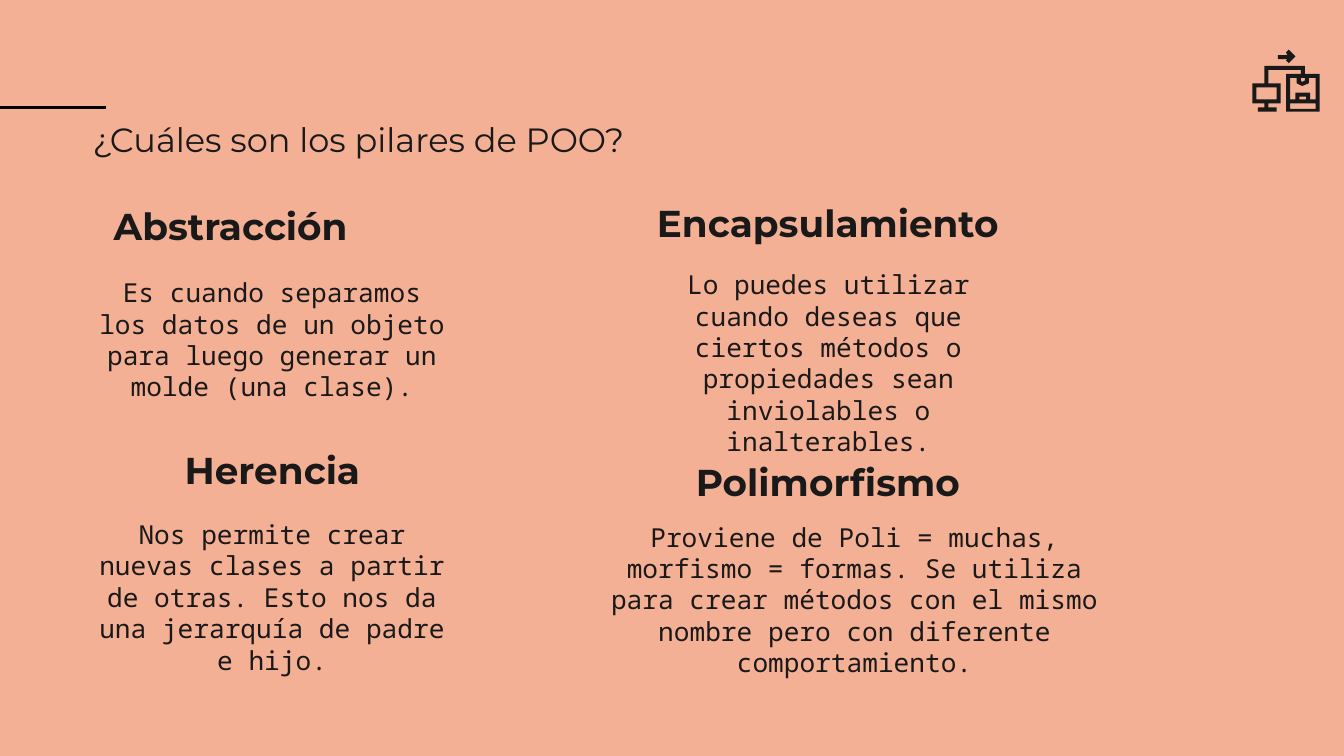
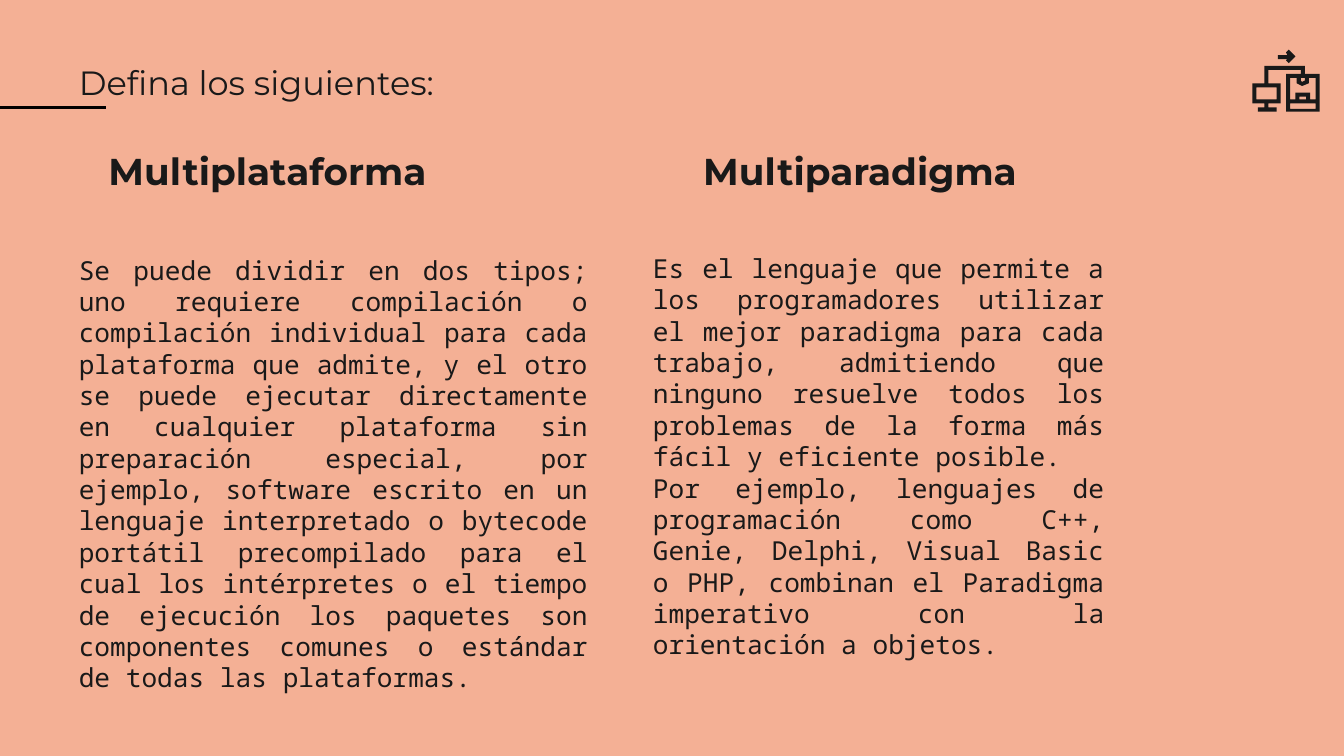
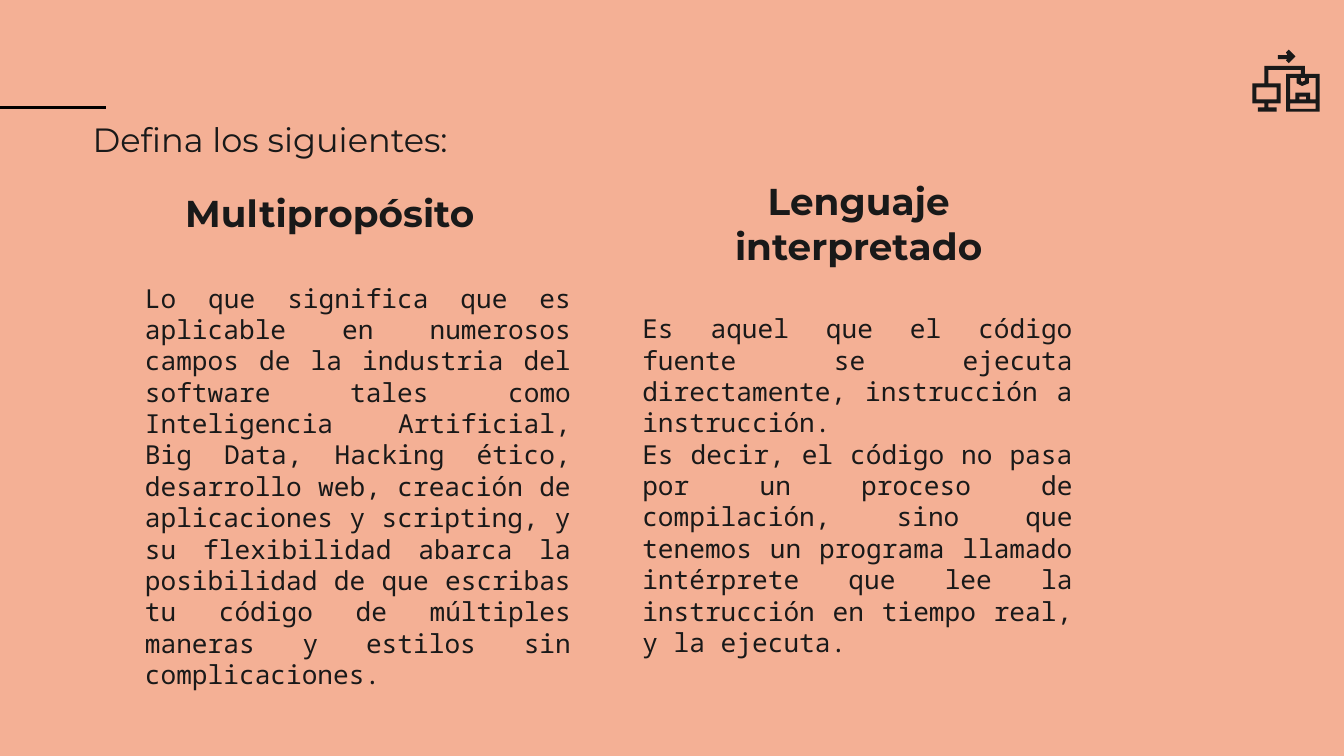
from lxml.etree import SubElement
from pptx import Presentation
from pptx.dml.color import RGBColor
from pptx.enum.shapes import MSO_CONNECTOR
from pptx.enum.text import MSO_ANCHOR as Anchor, MSO_AUTO_SIZE as AutoSize, PP_ALIGN as Align
from pptx.oxml.ns import qn
from pptx.util import Cm, Pt

SALMON = RGBColor(0xF4, 0xB0, 0x95)
INK = RGBColor(0x19, 0x19, 0x19)
BLACK = RGBColor(0, 0, 0)
HEADING_FONT = "Montserrat"
BODY_FONT = "Noto Sans Mono"

TITLE_SIZE = (19.18, 1.3)
HEADING_HEIGHT = 1.47
INSET = Cm(0.25)

# Each topic: heading, its (left, top, width) and alignment, then
# the body paragraphs, their (left, top, width, height) and alignment; all in cm.
SLIDES = [
    {
        "title": "¿Cuáles son los pilares de POO?",
        "title_at": (1.5, 1.98),
        "topics": [
            ("Abstracción", (1.9, 3.53, 6.5), Align.LEFT,
             ["Es cuando separamos los datos de un objeto para luego generar un "
              "molde (una clase)."],
             (1.5, 4.98, 7.29, 3.38), Align.CENTER),
            ("Encapsulamiento", (11.48, 3.48, 8.33), Align.CENTER,
             ["Lo puedes utilizar cuando deseas que ciertos métodos o propiedades "
              "sean inviolables o inalterables."],
             (11.71, 4.83, 7.9, 2.9), Align.CENTER),
            ("Herencia", (1.9, 8.15, 6.5), Align.CENTER,
             ["Nos permite crear nuevas clases a partir de otras. Esto nos da una "
              "jerarquía de padre e hijo."],
             (1.5, 9.55, 7.29, 3.94), Align.CENTER),
            ("Polimorfismo", (12.4, 8.36, 6.5), Align.CENTER,
             ["Proviene de Poli = muchas, morfismo = formas. Se utiliza para crear "
              "métodos con el mismo nombre pero con diferente comportamiento."],
             (11.1, 9.6, 10.11, 2.9), Align.CENTER),
        ],
    },
    {
        "title": "Defina los siguientes:",
        "title_at": (1.24, 0.91),
        "topics": [
            ("Multiplataforma", (1.8, 2.49, 8.33), Align.LEFT,
             ["Se puede dividir en dos tipos; uno requiere compilación o compilación "
              "individual para cada plataforma que admite, y el otro se puede ejecutar "
              "directamente en cualquier plataforma sin preparación especial, por "
              "ejemplo, software escrito en un lenguaje interpretado o bytecode "
              "portátil precompilado para el cual los intérpretes o el tiempo de "
              "ejecución los paquetes son componentes comunes o estándar de todas "
              "las plataformas."],
             (1.24, 4.55, 10.13, 9.42), Align.JUSTIFY),
            ("Multiparadigma", (12.09, 2.49, 8.33), Align.CENTER,
             ["Es el lenguaje que permite a los programadores utilizar el mejor "
              "paradigma para cada trabajo, admitiendo que ninguno resuelve todos los "
              "problemas de la forma más fácil y eficiente posible.",
              "Por ejemplo, lenguajes de programación como C++, Genie, Delphi, Visual "
              "Basic o PHP, combinan el Paradigma imperativo con la orientación a "
              "objetos."],
             (12.09, 4.52, 9.04, 3.38), Align.JUSTIFY),
        ],
    },
    {
        "title": "Defina los siguientes:",
        "title_at": (1.5, 1.98),
        "topics": [
            ("Multipropósito", (2.49, 3.28, 7.49), Align.CENTER,
             ["Lo que significa que es aplicable en numerosos campos de la industria "
              "del software tales como Inteligencia Artificial, Big Data, Hacking "
              "ético, desarrollo web, creación de aplicaciones y scripting, y su "
              "flexibilidad abarca la posibilidad de que escribas tu código de "
              "múltiples maneras y estilos sin complicaciones."],
             (2.49, 5.08, 8.56, 7.82), Align.JUSTIFY),
            ("Lenguaje interpretado", (12.98, 3.48, 6.5), Align.CENTER,
             ["Es aquel que el código fuente se ejecuta directamente, instrucción a "
              "instrucción.",
              "Es decir, el código no pasa por un proceso de compilación, sino que "
              "tenemos un programa llamado intérprete que lee la instrucción en tiempo "
              "real, y la ejecuta."],
             (11.89, 5.66, 8.64, 7.19), Align.JUSTIFY),
        ],
    },
]

# Icon outlines on a grid of 100 units to 2.54 cm
ICON_UNIT = Cm(2.54) / 100
ICON_LEFT, ICON_TOP = Cm(23.67), Cm(0.94)
COMPUTERS = [
    [(9, 12), (9, 25), (0, 25), (0, 40), (9, 40), (9, 43), (4, 43), (4, 46),
     (18, 46), (18, 43), (12, 43), (12, 40), (21, 40), (21, 25), (12, 25), (12, 15),
     (36, 15), (36, 18), (25, 18), (25, 46), (50, 46), (50, 18), (39, 18), (39, 12)],
    [(39, 21), (39, 23), (37, 24), (36, 23), (36, 21)],
    [(18, 28), (18, 37), (3, 37), (3, 28)],
    [(40, 35), (40, 37), (35, 37), (35, 35)],
    [(47, 21), (47, 37), (43, 37), (43, 32), (32, 32), (32, 37), (28, 37), (28, 21),
     (33, 21), (33, 25), (37, 27), (42, 25), (42, 21)],
    [(47, 40), (47, 44), (28, 44), (28, 40)],
]
ARROW = [[(27, 0), (25, 2), (26, 4), (19, 4), (19, 7), (26, 7), (25, 8), (27, 10), (32, 5)]]


def place(shape, left, top, width, height):
    shape.left, shape.top = Cm(left), Cm(top)
    shape.width, shape.height = Cm(width), Cm(height)


def write(shape, paragraphs, font_name, size, align, anchor=Anchor.MIDDLE, bold=False):
    frame = shape.text_frame
    frame.word_wrap = True
    frame.auto_size = AutoSize.NONE
    frame.vertical_anchor = anchor
    frame.margin_left = frame.margin_right = INSET
    frame.margin_top = frame.margin_bottom = INSET
    frame.text = "\n".join(paragraphs)
    for para in frame.paragraphs:
        para.alignment = align
        para.font.name = font_name
        para.font.size = Pt(size)
        para.font.bold = bold
        para.font.color.rgb = INK


def add_text(slide, bounds, *args, **kwargs):
    box = slide.shapes.add_textbox(0, 0, 0, 0)
    place(box, *bounds)
    write(box, *args, **kwargs)


def add_topic(slide, heading, heading_at, heading_align, body, body_bounds, body_align):
    add_text(slide, (*heading_at, HEADING_HEIGHT), [heading], HEADING_FONT, 20,
             heading_align, bold=True)
    add_text(slide, body_bounds, body, BODY_FONT, 14, body_align, anchor=Anchor.TOP)


def add_icon(slide):
    group = slide.shapes.add_group_shape()
    for contours in (COMPUTERS, ARROW):
        builder = group.shapes.build_freeform(*contours[0][0], scale=ICON_UNIT)
        for index, points in enumerate(contours):
            if index:
                builder.move_to(*points[0])
            builder.add_line_segments(points[1:], close=True)
        outline = builder.convert_to_shape(ICON_LEFT, ICON_TOP)
        outline.shadow.inherit = False
        outline.fill.solid()
        outline.fill.fore_color.rgb = INK
        outline.line.fill.background()


def move_rule_to_layout(slide):
    """Draw the title rule and hand it to the layout, so every slide shows it."""
    rule = slide.shapes.add_connector(
        MSO_CONNECTOR.STRAIGHT, Cm(-0.66), Cm(2.03), Cm(2.01), Cm(2.03))
    rule.line.color.rgb = BLACK
    rule.line.width = Pt(1.5)
    SubElement(rule.element.spPr, qn("a:effectLst"))
    slide.slide_layout.shapes.element.append(rule.element)


def main():
    deck = Presentation()
    deck.slide_width, deck.slide_height = Cm(25.4), Cm(14.29)
    background = deck.slide_master.background.fill
    background.solid()
    background.fore_color.rgb = SALMON
    title_only = deck.slide_layouts[5]

    for number, content in enumerate(SLIDES):
        slide = deck.slides.add_slide(title_only)
        if number == 0:
            move_rule_to_layout(slide)
        title = slide.shapes.title
        place(title, *content["title_at"], *TITLE_SIZE)
        write(title, [content["title"]], HEADING_FONT, 18, Align.LEFT)
        for topic in content["topics"]:
            add_topic(slide, *topic)
        add_icon(slide)

    deck.save("out.pptx")


if __name__ == "__main__":
    main()
